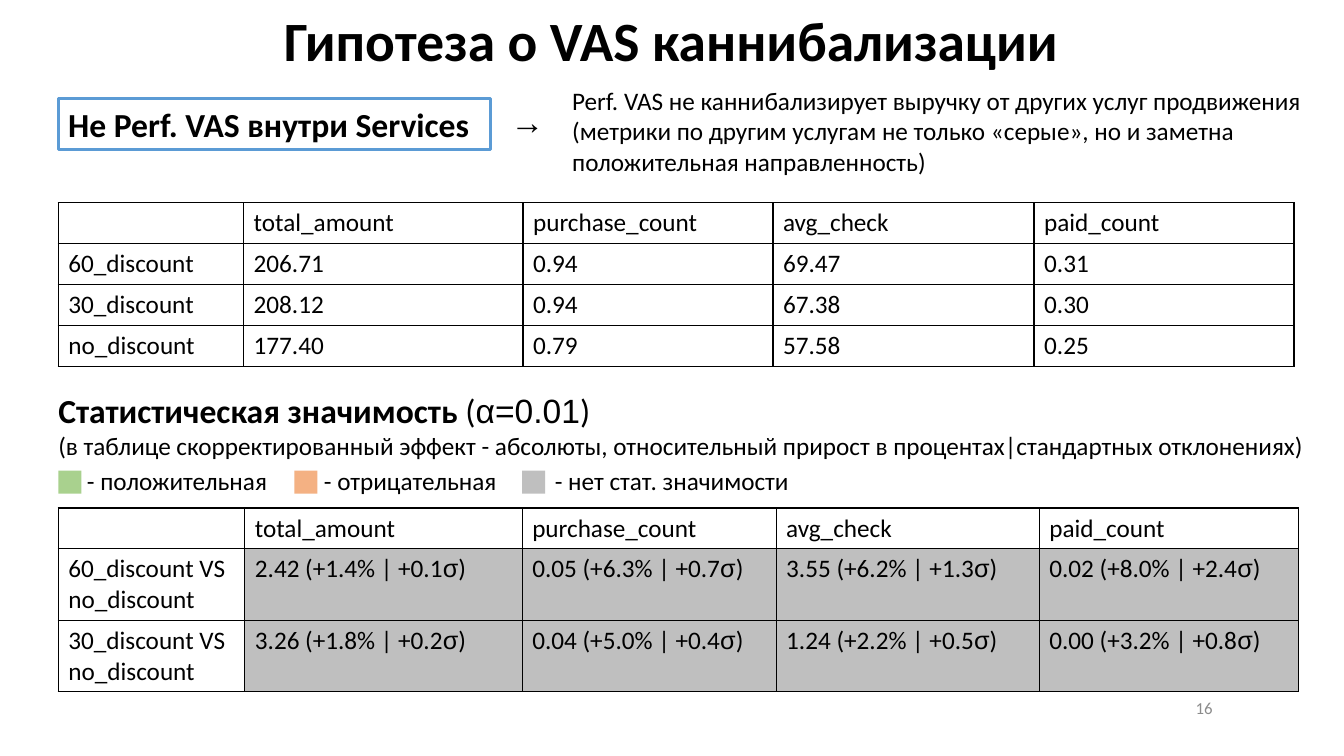
from pptx import Presentation
from pptx.dml.color import RGBColor
from pptx.enum import shapes, text
from pptx.oxml import parse_xml
from pptx.oxml.ns import nsdecls
from pptx.util import Cm, Pt

# Content: "*" switches bold, "^" switches to the symbol font
TITLE = "*Гипотеза о VAS каннибализации"
SCOPE = "*Не Perf. VAS внутри Services"
ARROW = "*^→"
CLAIM = ("Perf. VAS не каннибализирует выручку от других услуг продвижения "
         "(метрики по другим услугам не только «серые», но и заметна "
         "положительная направленность)")
STATS = [
    ("*Статистическая значимость *(^α=0.01^)", 24),
    ("(в таблице скорректированный эффект - абсолюты, относительный прирост "
     "в процентах|стандартных отклонениях)", 18),
]
NUMBER = "16"
HEAD = ["", "total_amount", "purchase_count", "avg_check", "paid_count"]
MEANS = [
    HEAD,
    ["60_discount", "206.71", "0.94", "69.47", "0.31"],
    ["30_discount", "208.12", "0.94", "67.38", "0.30"],
    ["no_discount", "177.40", "0.79", "57.58", "0.25"],
]
EFFECTS = [  # absolute, percent, standard deviations
    ("60_discount", [("2.42", "1.4", "0.1"), ("0.05", "6.3", "0.7"),
                     ("3.55", "6.2", "1.3"), ("0.02", "8.0", "2.4")]),
    ("30_discount", [("3.26", "1.8", "0.2"), ("0.04", "5.0", "0.4"),
                     ("1.24", "2.2", "0.5"), ("0.00", "3.2", "0.8")]),
]
LEGEND = [  # swatch left, colour, label, label left, label width
    (1.47, "green", "положительная", 1.8, 5.49),
    (7.42, "orange", "отрицательная", 7.77, 5.13),
    (13.16, "gray", "нет стат. значимости", 13.59, 6.73),
]
COLORS = {"black": "000000", "white": "FFFFFF", "blue": "5B9BD5",
          "green": "A9D18E", "orange": "F4B183", "gray": "BFBFBF",
          "faint": "8C8C8C"}
LEFT = 1.47

deck = Presentation()
deck.slide_width, deck.slide_height = Cm(33.87), Cm(19.05)
slide = deck.slides.add_slide(deck.slide_layouts[5])


def color(name):
    return RGBColor.from_string(COLORS[name])


def write(frame, words, size=18, ink="black", align="LEFT", anchor="TOP",
          indent=0, space=None):
    """Fill a frame with marked text, or with a list of (text, size) lines."""
    frame.word_wrap = True
    frame.vertical_anchor = getattr(text.MSO_ANCHOR, anchor)
    lines = words if isinstance(words, list) else [(words, size)]
    for i, (line, points) in enumerate(lines):
        para = frame.add_paragraph() if i else frame.paragraphs[0]
        para.alignment = getattr(text.PP_ALIGN, align)
        if space:
            para.line_spacing = space
        if indent:
            para._p.get_or_add_pPr().set("marL", str(Cm(indent)))
        bold = False
        for j, chunk in enumerate(line.split("*")):
            bold = j % 2 == 1
            for k, part in enumerate(chunk.split("^")):
                if part:
                    run = para.add_run()
                    run.text = part
                    font = run.font
                    font.size, font.bold = Pt(points), bold
                    font.name = "Arial" if k % 2 else "Calibri"
                    font.color.rgb = color(ink)


def label(words, x, y, w, h, **form):
    box = slide.shapes.add_textbox(Cm(x), Cm(y), Cm(w), Cm(h))
    write(box.text_frame, words, **form)


def block(x, y, w, h, fill, line=None):
    rect = slide.shapes.add_shape(shapes.MSO_SHAPE.RECTANGLE,
                                  Cm(x), Cm(y), Cm(w), Cm(h))
    rect.shadow.inherit = False
    rect.fill.solid()
    rect.fill.fore_color.rgb = color(fill)
    if line:
        rect.line.color.rgb = color(line)
        rect.line.width = Pt(2.25)
    else:
        rect.line.fill.background()
    return rect.text_frame


def border(cell):
    props = cell._tc.get_or_add_tcPr()
    for side in "LRTB":
        props.append(parse_xml(
            f'<a:ln{side} {nsdecls("a")} w="{Pt(1)}"><a:solidFill>'
            f'<a:srgbClr val="{COLORS["black"]}"/></a:solidFill></a:ln{side}>'))


def grid(rows, y, widths, heights, shade=False):
    table = slide.shapes.add_table(
        len(rows), len(widths), Cm(LEFT), Cm(y),
        Cm(sum(widths)), Cm(sum(heights))).table
    table.first_row = table.horz_banding = False
    for col, width in zip(table.columns, widths):
        col.width = Cm(width)
    for r, (row, height) in enumerate(zip(rows, heights)):
        table.rows[r].height = Cm(height)
        for c, words in enumerate(row):
            cell = table.cell(r, c)
            border(cell)
            if shade and r and c:
                cell.fill.solid()
                cell.fill.fore_color.rgb = color("gray")
            else:
                cell.fill.background()
            write(cell.text_frame, words)


# Title
title = slide.shapes.title
title.left, title.top = Cm(1.22), Cm(0.23)
title.width, title.height = Cm(31.39), Cm(1.75)
title.text_frame.auto_size = text.MSO_AUTO_SIZE.NONE
write(title.text_frame, TITLE, size=39.6, align="CENTER", anchor="MIDDLE",
      space=0.9)

# Scope and conclusion
write(block(LEFT, 2.49, 10.9, 1.27, "white", "blue"), SCOPE, size=24)
label(ARROW, 11.35, 2.41, 2.57, 1.27, size=24, indent=1.27)
label(CLAIM, 12.9, 2.03, 20.62, 2.57, indent=1.27)

# Average metrics
grid(MEANS, 5.11, [4.67, 7.04, 6.3, 6.58, 6.55], [1.03] * 4)

# Significance heading and legend
write(block(1.22, 9.7, 32.31, 3.07, "white"), STATS)
for x, hue, name, start, width in LEGEND:
    block(x, 11.86, 0.58, 0.58, hue)
    label(f" - {name}", start, 11.6, width, 1.02)

# Effects against no discount
effects = [HEAD] + [
    [f"{group} VS no_discount"]
    + [f"{gain} (+{share}% | +{dev}^σ^)" for gain, share, dev in cells]
    for group, cells in EFFECTS]
grid(effects, 12.8, [4.7, 6.99, 6.4, 6.63, 6.53], [1.03, 1.8, 1.8], shade=True)

# Slide number
label(NUMBER, 23.06, 17.32, 7.75, 1.02, size=12, ink="faint", align="RIGHT",
      anchor="MIDDLE")

deck.save("out.pptx")
